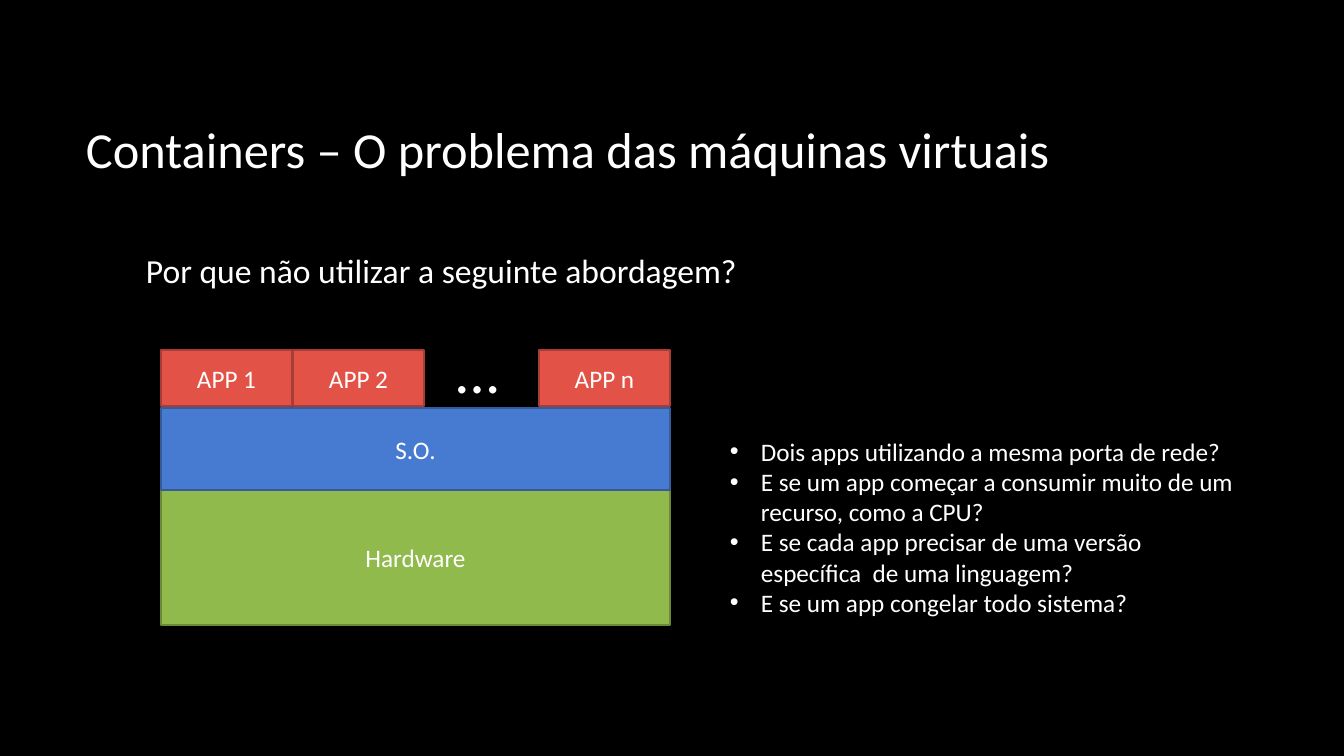
from lxml import etree
from pptx import Presentation
from pptx import util as u
from pptx.dml.color import RGBColor
from pptx.enum import shapes, text
from pptx.oxml.ns import qn

EMU_PER_PX = 12192000 / 1344
COLORS = {
    "background": "000000", "text": "FFFFFF",
    "app": "E25247", "app_line": "A73D35",
    "os": "477BD1", "os_line": "355B9B",
    "hardware": "90BA4C", "hardware_line": "6B8A38",
}


def px(*lengths):
    return [u.Emu(round(length * EMU_PER_PX)) for length in lengths]


def write(shape, lines, size, anchor=text.MSO_ANCHOR.TOP, align=text.PP_ALIGN.LEFT, bullet=False):
    """Fill a shape with one paragraph per line, bulleted if asked."""
    frame = shape.text_frame
    frame.word_wrap = True
    frame.vertical_anchor = anchor
    for i, line in enumerate(lines):
        paragraph = frame.add_paragraph() if i else frame.paragraphs[0]
        paragraph.alignment = align
        if bullet:
            props = paragraph._p.get_or_add_pPr()
            indent = px(31)[0]
            props.set("marL", str(indent))
            props.set("indent", str(-indent))
            etree.SubElement(props, qn("a:buFont"), typeface="Arial")
            etree.SubElement(props, qn("a:buChar"), char="•")
        run = paragraph.add_run()
        run.text = line
        run.font.name = "Calibri"
        run.font.size = u.Pt(size)
        run.font.color.rgb = RGBColor.from_string(COLORS["text"])


prs = Presentation()
prs.slide_width, prs.slide_height = px(1344, 756)
slide = prs.slides.add_slide(prs.slide_layouts[6])
slide.background.fill.solid()
slide.background.fill.fore_color.rgb = RGBColor.from_string(COLORS["background"])

title = slide.shapes.add_textbox(*px(76, 68, 1117, 160))
write(title, ["Containers – O problema das máquinas virtuais"], 36, text.MSO_ANCHOR.MIDDLE)

question = slide.shapes.add_textbox(*px(136, 245, 619, 50))
write(question, ["Por que não utilizar a seguinte abordagem?"], 24)

# Layers of the machine, from the hardware up to the apps
stack_left, stack_width, app_width = 161, 509, 131
layers = [
    ("Hardware", "hardware", stack_left, 490, stack_width, 135),
    ("S.O.", "os", stack_left, 408, stack_width, 82),
]
app_lefts = [stack_left, stack_left + app_width + 1, stack_left + stack_width - app_width]
for label, left in zip(["APP 1", "APP 2", "APP n"], app_lefts):
    layers.append((label, "app", left, 350, app_width, 56))

for label, kind, *place in layers:
    layer = slide.shapes.add_shape(shapes.MSO_SHAPE.RECTANGLE, *px(*place))
    layer.shadow.inherit = False
    layer.fill.solid()
    layer.fill.fore_color.rgb = RGBColor.from_string(COLORS[kind])
    layer.line.color.rgb = RGBColor.from_string(COLORS[kind + "_line"])
    layer.line.width = u.Pt(1.5)
    write(layer, [label], 18, text.MSO_ANCHOR.MIDDLE, text.PP_ALIGN.CENTER)

more_apps = slide.shapes.add_textbox(*px(447, 327, 64, 85))
write(more_apps, ["…"], 44)
more_apps.text_frame.word_wrap = False

problems = slide.shapes.add_textbox(*px(720, 431, 528, 194))
write(problems, [
    "Dois apps utilizando a mesma porta de rede?",
    "E se um app começar a consumir muito de um recurso, como a CPU?",
    "E se cada app precisar de uma versão específica  de uma linguagem?",
    "E se um app congelar todo sistema?",
], 18, bullet=True)

prs.save("out.pptx")
